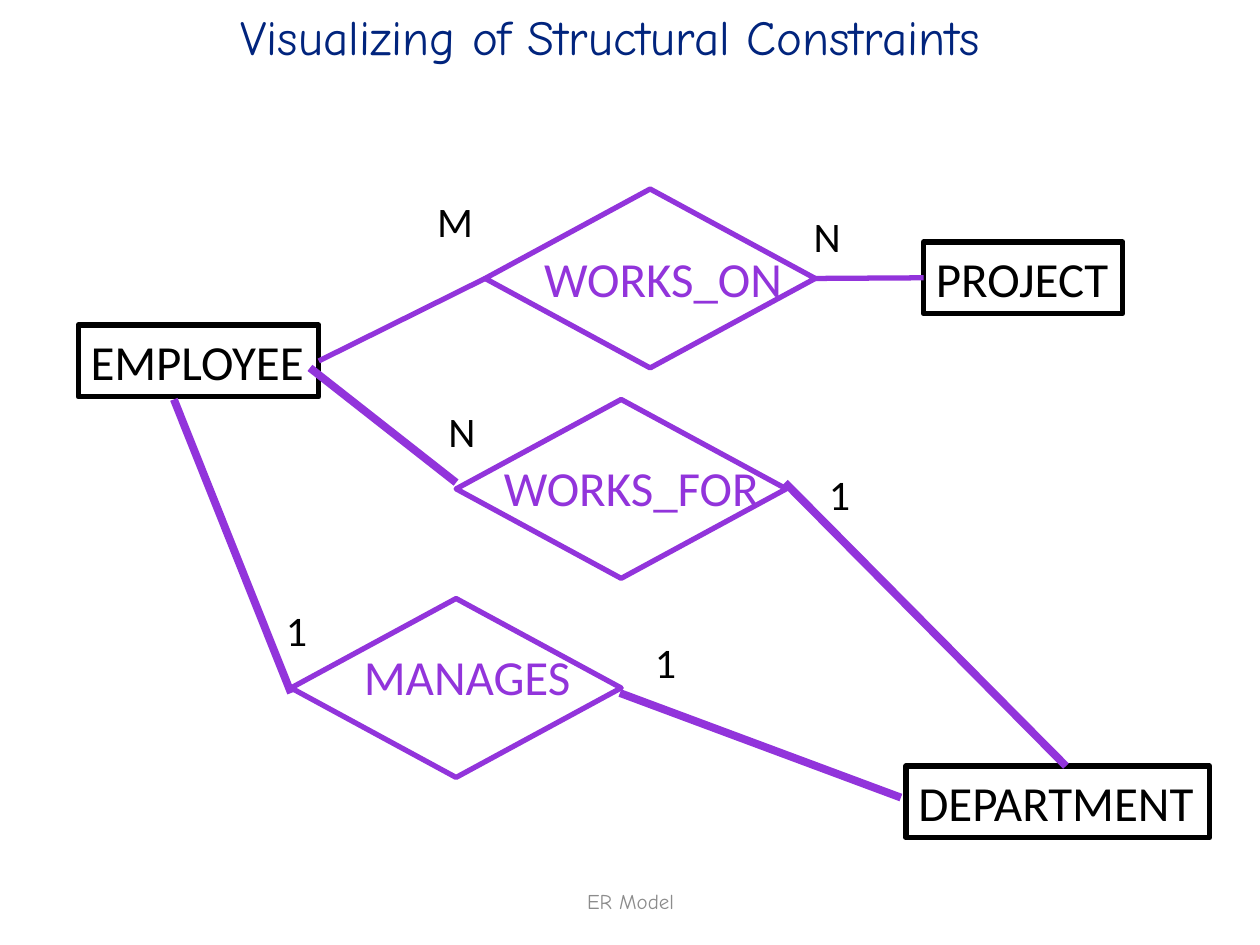
from dataclasses import dataclass

from lxml.etree import SubElement
from pptx import Presentation
from pptx.dml.color import RGBColor
from pptx.enum.shapes import MSO_CONNECTOR, MSO_SHAPE
from pptx.enum.text import MSO_ANCHOR, MSO_AUTO_SIZE, PP_ALIGN
from pptx.oxml.ns import qn
from pptx.util import Inches, Pt


@dataclass(frozen=True)
class Theme:
    ink: RGBColor = RGBColor(0x00, 0x00, 0x00)
    purple: RGBColor = RGBColor(0x92, 0x34, 0xDB)
    navy: RGBColor = RGBColor(0x01, 0x24, 0x7D)
    grey: RGBColor = RGBColor(0x8C, 0x8C, 0x8C)
    heading_font: str = "Comic Neue"
    body_font: str = "Calibri"
    name_size: int = 28
    cardinality_size: int = 24
    footer_size: int = 12
    thin: float = 3
    thick: float = 4.5


@dataclass(frozen=True)
class Box:
    left: float
    top: float
    width: float
    height: float

    def inside(self, left, top, width, height):
        return Box(self.left + left, self.top + top, width, height)

    def point(self, left, top):
        return Inches(self.left + left), Inches(self.top + top)

    def lengths(self):
        return [Inches(value) for value in (self.left, self.top, self.width, self.height)]


THEME = Theme()
NAME_HEIGHT = 0.57
CARDINALITY_HEIGHT = 0.5
DIAMOND_SIZE = (2.62, 1.42)
LEFT_SIDE, RIGHT_SIDE = 1, 3


def write(shape, text, size, color, font=THEME.body_font, align=PP_ALIGN.LEFT, wrap=False):
    frame = shape.text_frame
    frame.word_wrap = wrap
    frame.auto_size = MSO_AUTO_SIZE.SHAPE_TO_FIT_TEXT
    frame.vertical_anchor = MSO_ANCHOR.TOP
    paragraph = frame.paragraphs[0]
    paragraph.alignment = align
    run = paragraph.add_run()
    run.text = text
    run.font.name = font
    run.font.size = Pt(size)
    run.font.color.rgb = color
    return paragraph


def add_label(slide, box, text, size, color):
    write(slide.shapes.add_textbox(*box.lengths()), text, size, color)


def add_outline(slide, kind, box, color):
    shape = slide.shapes.add_shape(kind, *box.lengths())
    shape.shadow.inherit = False
    shape.fill.background()
    shape.line.color.rgb = color
    shape.line.width = Pt(THEME.thin)
    return shape


def add_entity(slide, box, name):
    shape = add_outline(slide, MSO_SHAPE.RECTANGLE, box, THEME.ink)
    write(shape, name, THEME.name_size, THEME.ink)
    return shape


def add_relationship(slide, box, name, label_box):
    add_label(slide, label_box, name, THEME.name_size, THEME.purple)
    return add_outline(slide, MSO_SHAPE.FLOWCHART_DECISION, box, THEME.purple)


def add_line(slide, start, end, width):
    connector = slide.shapes.add_connector(MSO_CONNECTOR.STRAIGHT, *start, *end)
    connector.line.color.rgb = THEME.purple
    connector.line.width = Pt(width)
    SubElement(connector._element.spPr, qn("a:effectLst"))
    return connector


def join(slide, first, second):
    connector = add_line(slide, (0, 0), (0, 0), THEME.thin)
    connector.begin_connect(first, RIGHT_SIDE)
    connector.end_connect(second, LEFT_SIDE)


def add_title(slide, box):
    paragraph = write(
        slide.shapes.add_textbox(*box.lengths()), "Visualizing of Structural Constraints",
        THEME.name_size, THEME.navy, THEME.heading_font, PP_ALIGN.CENTER, wrap=True)
    paragraph.space_before = Pt(6)


def add_footer(slide, box):
    shape = slide.shapes.add_textbox(*box.lengths())
    write(shape, "ER Model", THEME.footer_size, THEME.grey,
          THEME.heading_font, PP_ALIGN.CENTER, wrap=True)
    shape.text_frame.auto_size = MSO_AUTO_SIZE.NONE
    shape.text_frame.vertical_anchor = MSO_ANCHOR.MIDDLE


def add_diagram(slide, box):
    entities = {
        name: add_entity(slide, box.inside(left, top, width, NAME_HEIGHT), name)
        for name, left, top, width in (
            ("EMPLOYEE", 0, 1.08, 1.91),
            ("DEPARTMENT", 6.57, 4.58, 2.41),
            ("PROJECT", 6.71, 0.42, 1.58),
        )
    }
    relationships = {
        name: add_relationship(
            slide, box.inside(*corner, *DIAMOND_SIZE), name,
            box.inside(*label_corner, label_width, NAME_HEIGHT))
        for name, corner, label_corner, label_width in (
            ("MANAGES", (1.69, 3.25), (2.17, 3.58), 1.86),
            ("WORKS_FOR", (3, 1.67), (3.28, 2.08), 2.25),
            ("WORKS_ON", (3.23, 0), (3.6, 0.42), 2.11),
        )
    }
    join(slide, entities["EMPLOYEE"], relationships["WORKS_ON"])
    join(slide, relationships["WORKS_ON"], entities["PROJECT"])

    for text, left, top, width in (
        ("N", 5.74, 0.12, 0.42),
        ("M", 2.75, 0, 0.49),
        ("1", 1.55, 3.25, 0.37),
        ("1", 4.48, 3.5, 0.37),
        ("N", 2.84, 1.67, 0.42),
        ("1", 5.86, 2.17, 0.37),
    ):
        add_label(slide, box.inside(left, top, width, CARDINALITY_HEIGHT),
                  text, THEME.cardinality_size, THEME.ink)

    for start, end in (
        ((0.76, 1.67), (1.69, 4)),
        ((5.61, 2.33), (7.84, 4.58)),
        ((1.84, 1.42), (3, 2.33)),
        ((4.3, 4), (6.53, 4.83)),
    ):
        add_line(slide, box.point(*start), box.point(*end), THEME.thick)


def main():
    presentation = Presentation()
    presentation.slide_width = Inches(10)
    presentation.slide_height = Inches(7.5)
    slide = presentation.slides.add_slide(presentation.slide_layouts[6])
    add_footer(slide, Box(3.42, 6.95, 3.17, 0.4))
    add_title(slide, Box(0.23, 0, 9.23, 0.57))
    add_diagram(slide, Box(0.62, 1.5, 8.98, 5.15))
    presentation.save("out.pptx")


if __name__ == "__main__":
    main()
